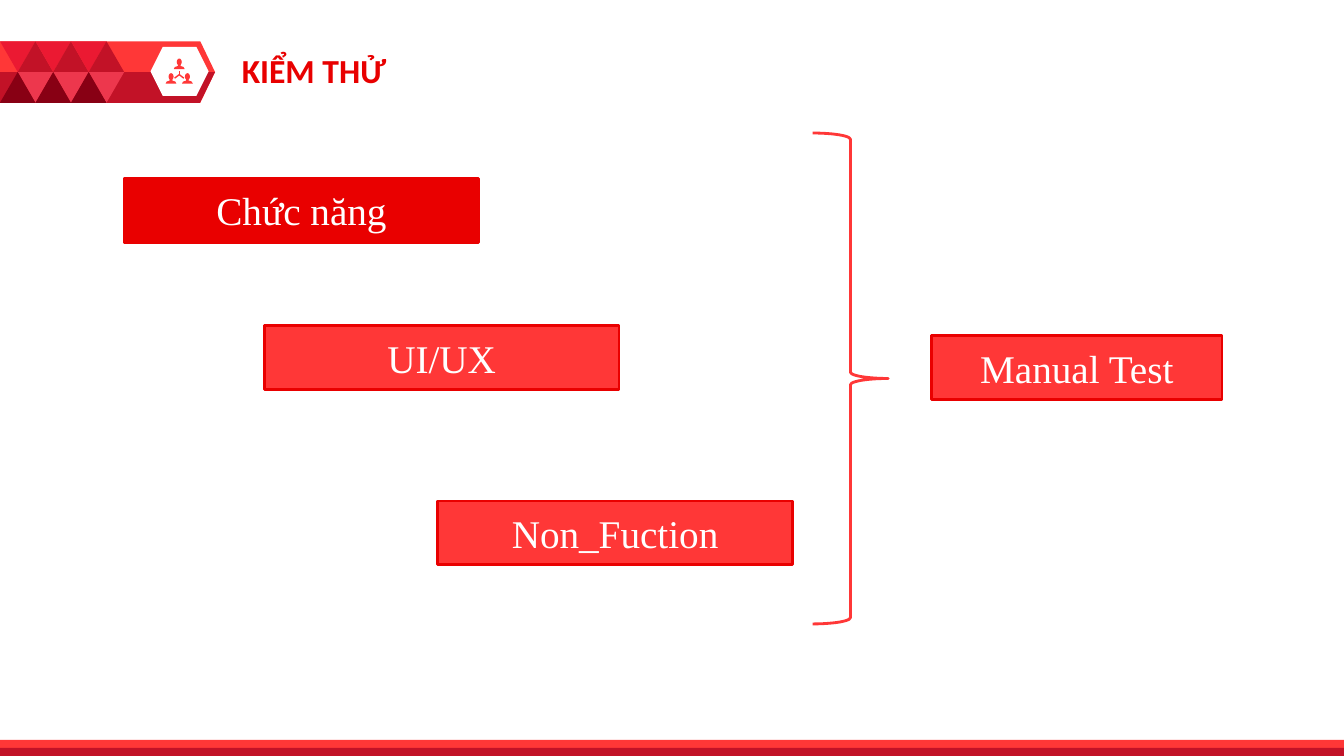
from dataclasses import dataclass

from lxml import etree
from pptx import Presentation
from pptx.dml.color import RGBColor
from pptx.enum.shapes import MSO_CONNECTOR, MSO_SHAPE as SHAPE
from pptx.enum.text import MSO_ANCHOR as ANCHOR, PP_ALIGN as ALIGN
from pptx.oxml.ns import qn
from pptx.util import Inches, Pt


@dataclass(frozen=True)
class Theme:
    red: str = "FF3737"
    crimson: str = "C21227"
    scarlet: str = "EB1932"
    rose: str = "ED374D"
    maroon: str = "880014"
    strong: str = "E90000"
    title: str = "E80000"
    white: str = "FFFFFF"
    title_font: str = "Calibri"
    body_font: str = "Times New Roman"
    title_size: int = 24
    body_size: int = 28
    line: int = 2


T = Theme()
W, H = 13.33, 7.5


def style(s, fill=None, line=None):
    s.shadow.inherit = False
    if fill:
        s.fill.solid()
        s.fill.fore_color.rgb = RGBColor.from_string(fill)
    else:
        s.fill.background()
    if line:
        s.line.color.rgb = RGBColor.from_string(line)
        s.line.width = Pt(T.line)
    else:
        s.line.fill.background()
    return s


def add_shape(shapes, kind, box, fill=None, line=None):
    return style(shapes.add_shape(kind, *map(Inches, box)), fill, line)


def add_outline(shapes, points, fill):
    emu = [(Inches(x), Inches(y)) for x, y in points]
    builder = shapes.build_freeform(*emu[0])
    builder.add_line_segments(emu[1:])
    return style(builder.convert_to_shape(), fill)


def write(s, text, font=T.body_font, size=T.body_size, color=T.white,
          bold=False, align=ALIGN.CENTER, anchor=ANCHOR.MIDDLE):
    tf = s.text_frame
    tf.word_wrap = True
    tf.vertical_anchor = anchor
    p = tf.paragraphs[0]
    p.alignment = align
    r = p.add_run()
    r.text = text
    r.font.name, r.font.size, r.font.bold = font, Pt(size), bold
    r.font.color.rgb = RGBColor.from_string(color)


def people_icon(shapes, box):
    """Three linked people: one above, two below."""
    x, y, w, h = box
    cx, cy = x + w / 2, y + 0.64 * h
    for dx, dy in ((0, 0.48), (-0.17, 0.78), (0.17, 0.78)):
        link = shapes.add_connector(MSO_CONNECTOR.STRAIGHT, Inches(cx), Inches(cy),
                                    Inches(cx + dx * w), Inches(y + dy * h))
        link.line.color.rgb = RGBColor.from_string(T.red)
        link.line.width = Pt(1)
        etree.SubElement(link._element.spPr, qn("a:effectLst"))
    pw, ph = 0.4 * w, 0.42 * h
    for px, py in ((cx - pw / 2, y), (x, y + h - ph), (x + w - pw, y + h - ph)):
        add_shape(shapes, SHAPE.OVAL, (px + 0.27 * pw, py, 0.46 * pw, 0.65 * ph), T.red)
        bust = ((0, 1), (0.1, 0.8), (0.38, 0.7), (0.38, 0.5),
                (0.62, 0.5), (0.62, 0.7), (0.9, 0.8), (1, 1))
        add_outline(shapes, [(px + u * pw, py + v * ph) for u, v in bust], T.red)


def banner(shapes, box):
    x, y, w, h = box
    row = h / 2
    pentagon = add_shape(shapes, SHAPE.PENTAGON, box, T.red)
    pentagon.adjustments[0] = 0.24
    add_outline(shapes, [(x, y + row), (x + w, y + row), (x + 0.93 * w, y + h),
                         (x, y + h)], T.crimson)
    add_shape(shapes, SHAPE.HEXAGON, (x + 0.7 * w, y + 0.09 * h, 0.27 * w, 0.8 * h), T.white)
    people_icon(shapes, (x + 0.77 * w, y + 0.28 * h, 0.127 * w, 0.41 * h))

    side = 0.165 * w
    # shift in half triangles, row, rotation, colour
    tiles = ((0, 0, 180, T.scarlet), (1, 0, 0, T.crimson),
             (1, 1, 180, T.rose), (0, 1, 0, T.maroon))
    for col in range(3):
        for shift, line, turn, color in tiles:
            tile = add_shape(shapes, SHAPE.ISOSCELES_TRIANGLE,
                             (x + (col + shift / 2) * side, y + line * row, side, row), color)
            tile.rotation = turn


def footer(shapes, box):
    x, y, w, h = box
    add_shape(shapes, SHAPE.RECTANGLE, box, T.red)
    add_shape(shapes, SHAPE.RECTANGLE, (x, y + h / 2, w, h / 2), T.crimson)


def title(shapes, box, text):
    s = shapes.add_textbox(*map(Inches, box))
    write(s, text, font=T.title_font, size=T.title_size, color=T.title,
          bold=True, align=ALIGN.LEFT, anchor=ANCHOR.TOP)


def label(shapes, box, text, fill=T.red):
    write(add_shape(shapes, SHAPE.RECTANGLE, box, fill, T.strong), text)


def test_diagram(shapes, box):
    """Stepped test kinds gathered by a brace into one result."""
    x, y, w, h = box
    bar_h = 0.13 * h
    steps = (("Chức năng", 0, 0.45, T.strong), ("UI/UX", 1.39, 1.91, T.red),
             ("Non_Fuction", 3.11, 3.65, T.red))
    for text, dx, dy, fill in steps:
        label(shapes, (x + dx, y + dy, 3.52, bar_h), text, fill)
    add_shape(shapes, SHAPE.RIGHT_BRACE, (x + 6.83, y, 0.75, h), line=T.red)
    label(shapes, (x + w - 2.88, y + 2.01, 2.88, bar_h), "Manual Test")


def main():
    prs = Presentation()
    prs.slide_width, prs.slide_height = Inches(W), Inches(H)
    shapes = prs.slides.add_slide(prs.slide_layouts[6]).shapes
    banner(shapes, (0, 0.41, 0.16 * W, 0.61))
    footer(shapes, (0, H - 0.16, W, 0.16))
    title(shapes, (2.3, 0.45, 6.83, 0.5), "KIỂM THỬ")
    test_diagram(shapes, (1.23, 1.32, 10.89, 4.87))
    prs.save("out.pptx")


if __name__ == "__main__":
    main()
